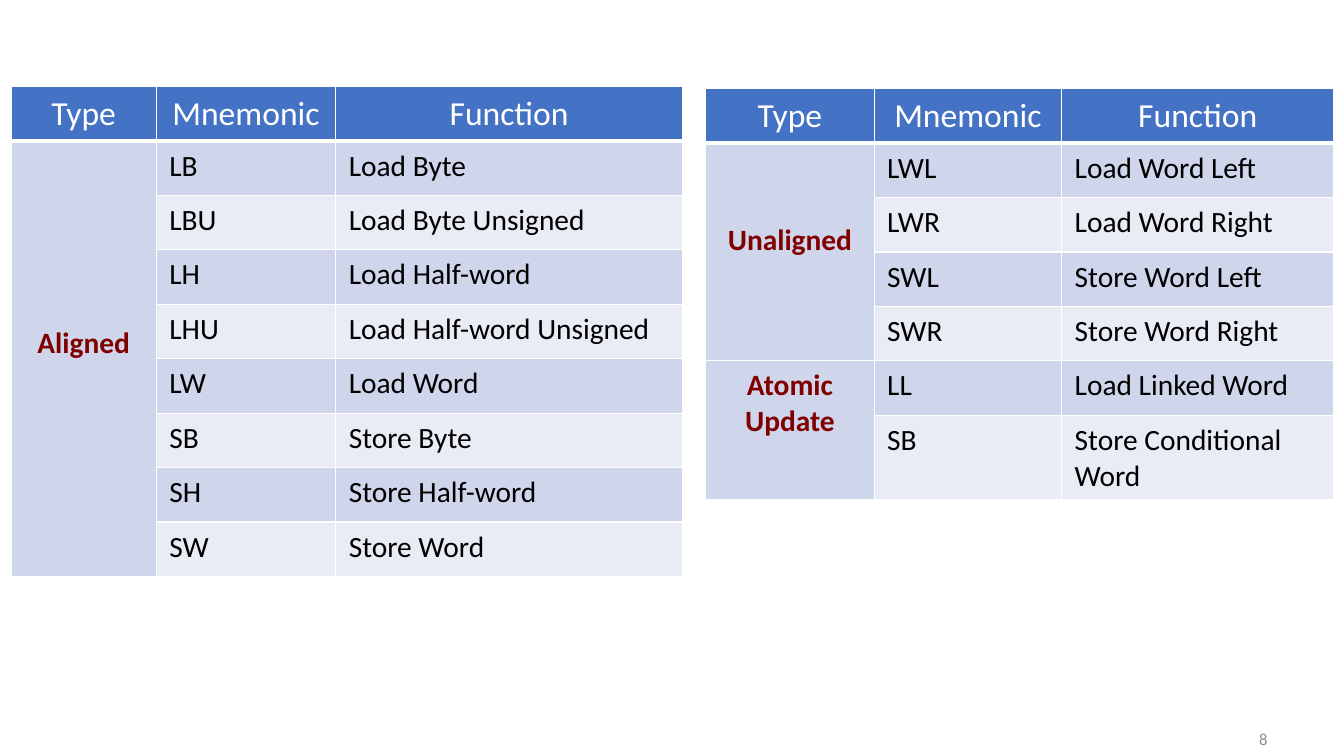
from pptx import Presentation
from pptx.dml.color import RGBColor
from pptx.enum.text import MSO_ANCHOR, PP_ALIGN
from pptx.oxml import parse_xml
from pptx.oxml.ns import nsdecls
from pptx.util import Inches, Pt

WHITE = RGBColor(0xFF, 0xFF, 0xFF)
BLACK = RGBColor(0, 0, 0)
MAROON = RGBColor(0x80, 0, 0)
GRAY = RGBColor(0x8C, 0x8C, 0x8C)
HEADER_BLUE = RGBColor(0x44, 0x72, 0xC4)
BANDS = (RGBColor(0xCF, 0xD5, 0xEA), RGBColor(0xE9, 0xEB, 0xF5))
HEADINGS = ("Type", "Mnemonic", "Function")
ROW_HEIGHT = 0.54

ALIGNED = [
    ("Aligned", MSO_ANCHOR.MIDDLE, 0.37, [
        ("LB", "Load Byte"),
        ("LBU", "Load Byte Unsigned"),
        ("LH", "Load Half-word"),
        ("LHU", "Load Half-word Unsigned"),
        ("LW", "Load Word"),
        ("SB", "Store Byte"),
        ("SH", "Store Half-word"),
        ("SW", "Store Word"),
    ]),
]
UNALIGNED_AND_ATOMIC = [
    ("Unaligned", MSO_ANCHOR.MIDDLE, 0.29, [
        ("LWL", "Load Word Left"),
        ("LWR", "Load Word Right"),
        ("SWL", "Store Word Left"),
        ("SWR", "Store Word Right"),
    ]),
    ("Atomic Update", MSO_ANCHOR.TOP, 0.07, [
        ("LL", "Load Linked Word"),
        ("SB", "Store Conditional Word"),
    ]),
]


def write_text(frame, text, size=21, color=BLACK, bold=False, align=PP_ALIGN.LEFT):
    """Write one formatted paragraph into a text frame."""
    para = frame.paragraphs[0]
    para.alignment = align
    span = para.add_run()
    span.text = text
    span.font.name = "Calibri"
    span.font.size = Pt(size)
    span.font.bold = bold
    span.font.color.rgb = color


def style_cell(cell, fill, bottom_width=1):
    """Give a cell its margins, white borders and fill."""
    cell.margin_left = cell.margin_right = Inches(0.13)
    cell.margin_top = cell.margin_bottom = Inches(0.07)
    properties = cell._tc.get_or_add_tcPr()
    for side, width in (("L", 1), ("R", 1), ("T", 1), ("B", bottom_width)):
        properties.append(parse_xml(
            f'<a:ln{side} {nsdecls("a")} w="{Pt(width)}"><a:solidFill>'
            f'<a:srgbClr val="{WHITE}"/></a:solidFill></a:ln{side}>'))
    cell.fill.solid()
    cell.fill.fore_color.rgb = fill


def add_instruction_table(page, left, top, widths, groups, last_height=ROW_HEIGHT):
    """Add a table of instructions grouped by type."""
    row_count = 1 + sum(len(entries) for *_, entries in groups)
    height = ROW_HEIGHT * (row_count - 1) + last_height
    table = page.shapes.add_table(
        row_count, len(widths), Inches(left), Inches(top),
        Inches(sum(widths)), Inches(height)).table
    table.horz_banding = False
    for column, width in zip(table.columns, widths):
        column.width = Inches(width)
    for row in table.rows:
        row.height = Inches(ROW_HEIGHT)
    table.rows[row_count - 1].height = Inches(last_height)

    for index, heading in enumerate(HEADINGS):
        cell = table.cell(0, index)
        style_cell(cell, HEADER_BLUE, bottom_width=3)
        write_text(cell.text_frame, heading, size=24, color=WHITE,
                   align=PP_ALIGN.CENTER)

    first = 1
    for name, anchor, bottom_margin, entries in groups:
        for row, entry in enumerate(entries, first):
            style_cell(table.cell(row, 0), BANDS[0])
            for index, text in enumerate(entry, 1):
                cell = table.cell(row, index)
                style_cell(cell, BANDS[(row - 1) % 2])
                write_text(cell.text_frame, text)
        type_cell = table.cell(first, 0)
        type_cell.merge(table.cell(first + len(entries) - 1, 0))
        type_cell.vertical_anchor = anchor
        type_cell.margin_bottom = Inches(bottom_margin)
        write_text(type_cell.text_frame, name, color=MAROON, bold=True,
                   align=PP_ALIGN.CENTER)
        first += len(entries)


def add_page_number(page, left, top, width, height, number):
    """Add the page number at the right of its box."""
    box = page.shapes.add_textbox(
        Inches(left), Inches(top), Inches(width), Inches(height))
    box.text_frame.word_wrap = True
    box.text_frame.vertical_anchor = MSO_ANCHOR.MIDDLE
    write_text(box.text_frame, number, size=12, color=GRAY, align=PP_ALIGN.RIGHT)


def main():
    """Build the slide of load and store instructions."""
    deck = Presentation()
    deck.slide_width = Inches(13.33)
    deck.slide_height = Inches(7.5)
    page = deck.slides.add_slide(deck.slide_layouts[6])
    add_page_number(page, 9.56, 7.13, 3.11, 0.4, "8")
    add_instruction_table(page, 0.11, 0.86, (1.44, 1.78, 3.44), ALIGNED)
    add_instruction_table(page, 7, 0.88, (1.67, 1.86, 2.7),
                          UNALIGNED_AND_ATOMIC, last_height=0.84)
    deck.save("out.pptx")


if __name__ == "__main__":
    main()
